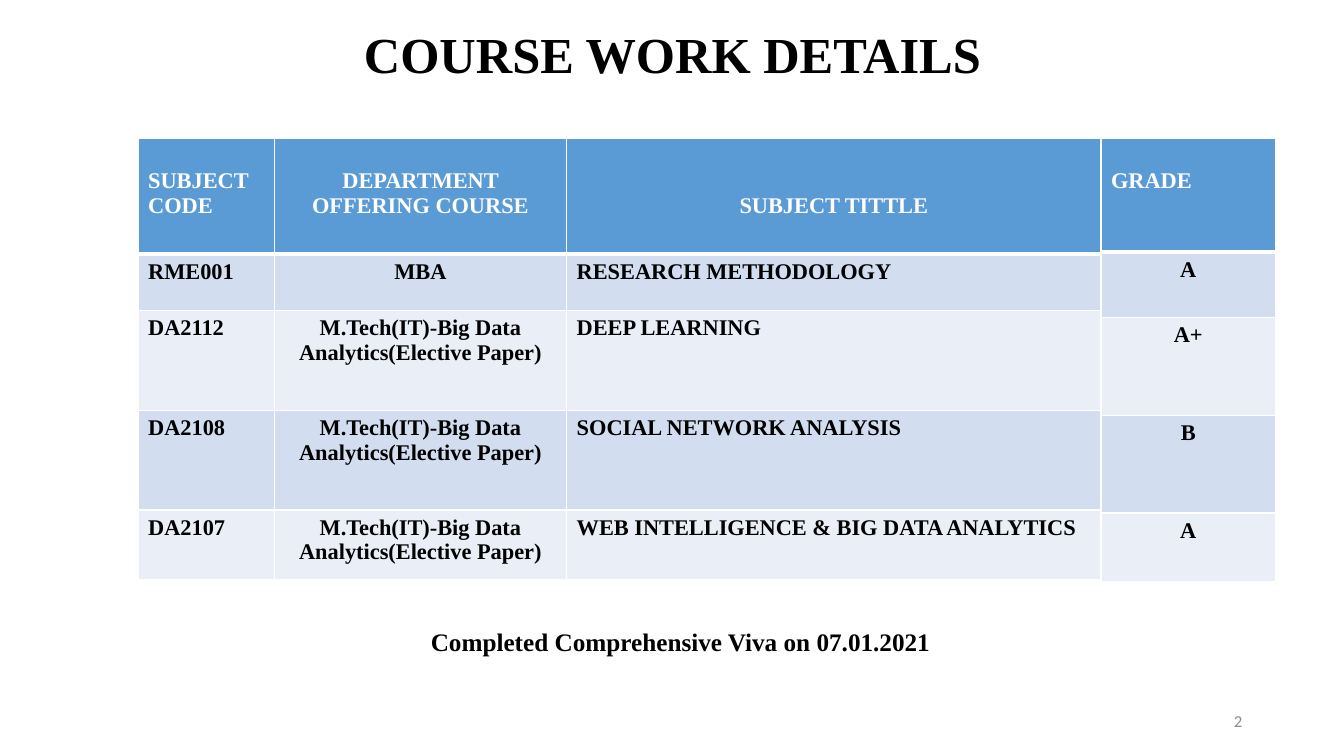
from lxml.etree import SubElement
from pptx import Presentation
from pptx.dml.color import RGBColor
from pptx.enum.text import MSO_ANCHOR, PP_ALIGN
from pptx.oxml.ns import qn
from pptx.util import Inches, Pt

BLACK = RGBColor(0x00, 0x00, 0x00)
WHITE = RGBColor(0xFF, 0xFF, 0xFF)
GRAY = RGBColor(0x8C, 0x8C, 0x8C)
HEADER_BLUE = RGBColor(0x5B, 0x9B, 0xD5)
BANDS = (RGBColor(0xD2, 0xDE, 0xEF), RGBColor(0xEA, 0xEF, 0xF7))
SERIF = "Times New Roman"
LEFT, CENTER, RIGHT = PP_ALIGN.LEFT, PP_ALIGN.CENTER, PP_ALIGN.RIGHT

ELECTIVE = "M.Tech(IT)-Big Data Analytics(Elective Paper)"
COURSES = [
    ("SUBJECT CODE", "DEPARTMENT OFFERING COURSE", "SUBJECT TITTLE"),
    ("RME001", "MBA", "RESEARCH METHODOLOGY"),
    ("DA2112", ELECTIVE, "DEEP LEARNING"),
    ("DA2108", ELECTIVE, "SOCIAL NETWORK ANALYSIS"),
    ("DA2107", ELECTIVE, "WEB INTELLIGENCE & BIG DATA ANALYTICS"),
]
GRADES = [("GRADE",), ("A",), ("A+",), ("B",), ("A",)]


def write(tf, text, size, color, align, font=SERIF, bold=True):
    p = tf.paragraphs[0]
    p.alignment = align
    r = p.add_run()
    r.text = text
    r.font.name = font
    r.font.size = Pt(size)
    r.font.bold = bold
    r.font.color.rgb = color
    return p


def add_title(s, text, left, top, width, height):
    sp = s.shapes.title
    sp.left, sp.top = Inches(left), Inches(top)
    sp.width, sp.height = Inches(width), Inches(height)
    tf = sp.text_frame
    tf.vertical_anchor = MSO_ANCHOR.MIDDLE
    write(tf, text, 36, BLACK, CENTER).line_spacing = 0.9


def add_label(s, text, left, top, width, height, **style):
    sp = s.shapes.add_textbox(Inches(left), Inches(top), Inches(width), Inches(height))
    tf = sp.text_frame
    tf.word_wrap = True
    tf.vertical_anchor = MSO_ANCHOR.MIDDLE
    write(tf, text, **style)


def set_borders(cell, bottom):
    """Draw white borders, 1 pt except for the given bottom width."""
    tcPr = cell._tc.get_or_add_tcPr()
    for i, (side, width) in enumerate((("L", 1), ("R", 1), ("T", 1), ("B", bottom))):
        ln = tcPr.makeelement(qn(f"a:ln{side}"), {"w": str(Pt(width))})
        fill = SubElement(ln, qn("a:solidFill"))
        SubElement(fill, qn("a:srgbClr"), val=str(WHITE))
        tcPr.insert(i, ln)


def add_grid(s, rows, left, top, widths, heights, aligns, header_aligns, header_tops):
    """Add a banded table; header_tops are the top margins of the header cells."""
    frame = s.shapes.add_table(len(rows), len(widths), Inches(left), Inches(top),
                               Inches(sum(widths)), Inches(sum(heights)))
    table = frame.table
    for column, width in zip(table.columns, widths):
        column.width = Inches(width)
    for i, (values, height) in enumerate(zip(rows, heights)):
        table.rows[i].height = Inches(height)
        header = i == 0
        for j, text in enumerate(values):
            cell = table.cell(i, j)
            cell.fill.solid()
            cell.fill.fore_color.rgb = HEADER_BLUE if header else BANDS[(i - 1) % 2]
            if header:
                cell.margin_top = Inches(header_tops[j])
            write(cell.text_frame, text, 16, WHITE if header else BLACK,
                  (header_aligns if header else aligns)[j])
            set_borders(cell, 3 if header else 1)


def add_course_slide(prs):
    s = prs.slides.add_slide(prs.slide_layouts[5])
    add_title(s, "COURSE WORK DETAILS", 0.92, 0.14, 11.5, 0.86)
    left, top, widths = 1.37, 1.37, (1.35, 2.9, 5.3)
    add_grid(s, COURSES, left, top, widths, (1.15, 0.56, 0.99, 0.99, 0.69),
             (LEFT, CENTER, LEFT), (LEFT, CENTER, CENTER), (0.3, 0.3, 0.55))
    add_grid(s, GRADES, left + sum(widths), top, (1.73,), (1.13, 0.65, 0.97, 0.97, 0.68),
             (CENTER,), (LEFT,), (0.3,))
    add_label(s, "Completed Comprehensive Viva on 07.01.2021", 3.27, 6.16, 6.96, 0.4,
              size=18, color=BLACK, align=CENTER)
    add_label(s, "2", 9.42, 6.95, 3, 0.4, size=12, color=GRAY, align=RIGHT,
              font="Calibri", bold=False)


def main():
    prs = Presentation()
    prs.slide_width, prs.slide_height = Inches(13.33), Inches(7.5)
    add_course_slide(prs)
    prs.save("out.pptx")


if __name__ == "__main__":
    main()
